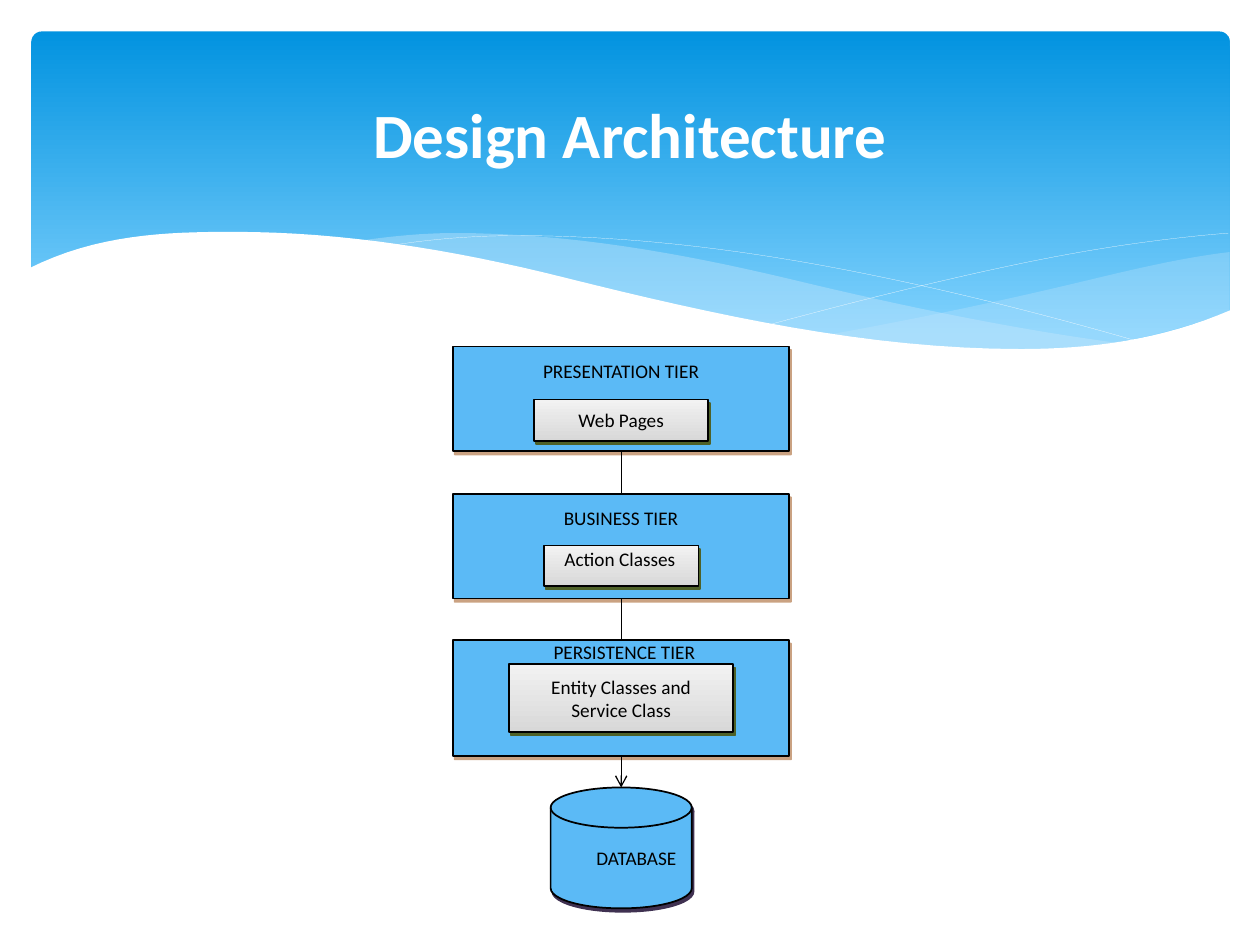
"""Build the design architecture slide: a wave banner and a chain of tiers."""
from lxml import etree
from pptx import Presentation
from pptx.dml.color import RGBColor
from pptx.enum.shapes import MSO_CONNECTOR, MSO_SHAPE
from pptx.enum.text import MSO_ANCHOR, PP_ALIGN
from pptx.oxml.ns import qn
from pptx.util import Inches, Pt

RECT, ROUND = MSO_SHAPE.RECTANGLE, MSO_SHAPE.ROUNDED_RECTANGLE
DISK = MSO_SHAPE.FLOWCHART_MAGNETIC_DISK
LINE = MSO_CONNECTOR.STRAIGHT
TOP, MIDDLE = MSO_ANCHOR.TOP, MSO_ANCHOR.MIDDLE
CENTER = PP_ALIGN.CENTER

WHITE = RGBColor(0xFF, 0xFF, 0xFF)
BLACK = RGBColor(0x00, 0x00, 0x00)
BLUE = RGBColor(0x5B, 0xBA, 0xF6)
PALE = RGBColor(0xC6, 0xE7, 0xFC)
SKY = [(0, RGBColor(0x02, 0x93, 0xE0)), (0.9, RGBColor(0x83, 0xD3, 0xFE))]
GRAY = [(0, RGBColor(0xF2, 0xF2, 0xF2)), (1, RGBColor(0xD8, 0xD8, 0xD8))]
BROWN = RGBColor(0x97, 0x47, 0x06)
GREEN = RGBColor(0x4E, 0x61, 0x28)
PURPLE = RGBColor(0x3F, 0x31, 0x51)

AXIS = 4.93
STEPS = 16


def paint(shape, fill):
    """Fill a shape with one colour or a top-down gradient, without shadow."""
    shape.shadow.inherit = False
    if isinstance(fill, RGBColor):
        shape.fill.solid()
        shape.fill.fore_color.rgb = fill
        return
    shape.fill.gradient()
    shape.fill.gradient_angle = 270
    for stop, (place, color) in zip(shape.fill.gradient_stops, fill):
        stop.position = place
        stop.color.rgb = color


def curve(knots):
    """Join (x, y, slope) knots by cubic Hermite arcs and return the points."""
    points = [knots[0][:2]]
    for (x0, y0, m0), (x1, y1, m1) in zip(knots, knots[1:]):
        span = x1 - x0
        for step in range(1, STEPS + 1):
            t = step / STEPS
            ease = t * t * (3 - 2 * t)
            bend = t * (1 - t) * (m0 * (1 - t) - m1 * t)
            points.append((x0 + span * t, y0 + (y1 - y0) * ease + span * bend))
    return points


deck = Presentation()
deck.slide_width, deck.slide_height = Inches(10), Inches(7.5)
shapes = deck.slides.add_slide(deck.slide_layouts[6]).shapes

banner = shapes.add_shape(
    ROUND, Inches(0.25), Inches(0.25), Inches(9.51), Inches(2.7))
banner.adjustments[0] = 0.03
paint(banner, SKY)
banner.line.fill.background()

# veil, swell and shore are areas between an upper and a lower edge
veil = (curve([(6.61, 2.65, -0.18), (8.61, 2.23, -0.24), (9.76, 2, -0.12)])
        + curve([(6.61, 2.65, 0.14), (8.1, 2.78, 0), (9.76, 2.47, -0.38)])[::-1])
swell = (curve([(2.86, 1.91, -0.14), (3.61, 1.85, 0),
                (6.29, 2.22, 0.24), (8.93, 2.73, 0.13)])
         + curve([(2.86, 1.91, 0.14), (4.49, 2.22, 0.24),
                  (8.1, 2.78, 0), (8.93, 2.73, -0.11)])[::-1])
shore = (curve([(0.23, 2.13, -0.5), (1.85, 1.84, 0), (4.47, 2.2, 0.25),
                (8.1, 2.77, 0), (9.77, 2.46, -0.43)])
         + [(9.77, 3.29), (0.23, 3.29)])
fall = curve([(3.09, 1.95, -0.16), (4.1, 1.87, 0),
              (6.65, 2.13, 0.19), (9.07, 2.72, 0.29)])
rise = curve([(6.13, 2.57, -0.27), (8.06, 2.1, -0.21), (9.75, 1.85, -0.08)])

waves = [(veil, PALE, 29), (swell, PALE, 40), (fall, None, 100),
         (rise, None, 100), (shore, WHITE, 100)]
for points, color, alpha in waves:
    spots = [(Inches(x), Inches(y)) for x, y in points]
    pen = shapes.build_freeform(*spots[0])
    pen.add_line_segments(spots[1:], close=color is not None)
    wave = pen.convert_to_shape()
    if color is None:
        wave.shadow.inherit = False
        wave.fill.background()
        wave.line.color.rgb = WHITE
        wave.line.width = Pt(0.1)
        continue
    paint(wave, color)
    wave.line.fill.background()
    if alpha < 100:
        tint = wave.fill.fore_color._xFill.find(qn("a:srgbClr"))
        etree.SubElement(tint, qn("a:alpha"), val=str(alpha * 1000))

title = shapes.add_textbox(
    Inches(0.5), Inches(0.37), Inches(9), Inches(1.37))
labels = [(title, "Design Architecture", MIDDLE, 0.05, 0.1)]

looks = {
    "tier": (RECT, BLUE, BROWN, 50),
    "card": (RECT, GRAY, GREEN, 100),
    "store": (DISK, BLUE, PURPLE, 100),
}
blocks = [
    ("tier", 2.75, 2.67, 0.83, "PRESENTATION TIER", TOP, 0.1, 0.1),
    ("card", 3.17, 1.38, 0.33, "Web Pages", MIDDLE, 0.05, 0.1),
    ("tier", 3.92, 2.67, 0.83, "BUSINESS TIER", TOP, 0.1, 0.1),
    ("card", 4.33, 1.23, 0.32, "Action Classes", TOP, 0.01, 0.08),
    ("tier", 5.08, 2.67, 0.92, "PERSISTENCE TIER", TOP, 0, 0.15),
    ("card", 5.27, 1.78, 0.54, "Entity Classes and Service Class",
     MIDDLE, 0.05, 0.1),
    ("store", 6.25, 1.12, 0.96, "DATABASE", MIDDLE, 0.05, 0.34),
]
tiers = []
for role, top, width, height, *label in blocks:
    kind, fill, shade, alpha = looks[role]
    block = shapes.add_shape(kind, Inches(AXIS - width / 2), Inches(top),
                             Inches(width), Inches(height))
    paint(block, fill)
    block.line.color.rgb = BLACK
    block.line.width = Pt(1)
    effects = block._element.spPr.find(qn("a:effectLst"))
    shadow = etree.SubElement(
        effects, qn("a:outerShdw"), dist=str(Pt(2.2)), dir=str(63 * 60000),
        algn="ctr", rotWithShape="0")
    tone = etree.SubElement(shadow, qn("a:srgbClr"), val=str(shade))
    etree.SubElement(tone, qn("a:alpha"), val=str(alpha * 1000))
    labels.append((block, *label))
    if role == "tier":
        tiers.append(block)

for shape, text, anchor, inset, indent in labels:
    frame = shape.text_frame
    frame.word_wrap = True
    frame.vertical_anchor = anchor
    frame.margin_top, frame.margin_left = Inches(inset), Inches(indent)
    para = frame.paragraphs[0]
    para.alignment = CENTER
    run = para.add_run()
    run.text = text
    run.font.name = "Calibri"
    run.font.bold = shape is title
    run.font.size = Pt(36 if shape is title else 11)
    run.font.color.rgb = WHITE if shape is title else BLACK

for upper, lower in zip(tiers, tiers[1:] + [None]):
    link = shapes.add_connector(
        LINE, Inches(AXIS), Inches(6), Inches(AXIS), Inches(6.25))
    link.begin_connect(upper, 2)
    if lower is not None:
        link.end_connect(lower, 0)
    link.line.color.rgb = BLACK
    link.line.width = Pt(0.75)
    etree.SubElement(link._element.spPr, qn("a:effectLst"))
    if lower is None:
        etree.SubElement(
            link.line._get_or_add_ln(), qn("a:tailEnd"), type="arrow")

deck.save("out.pptx")
